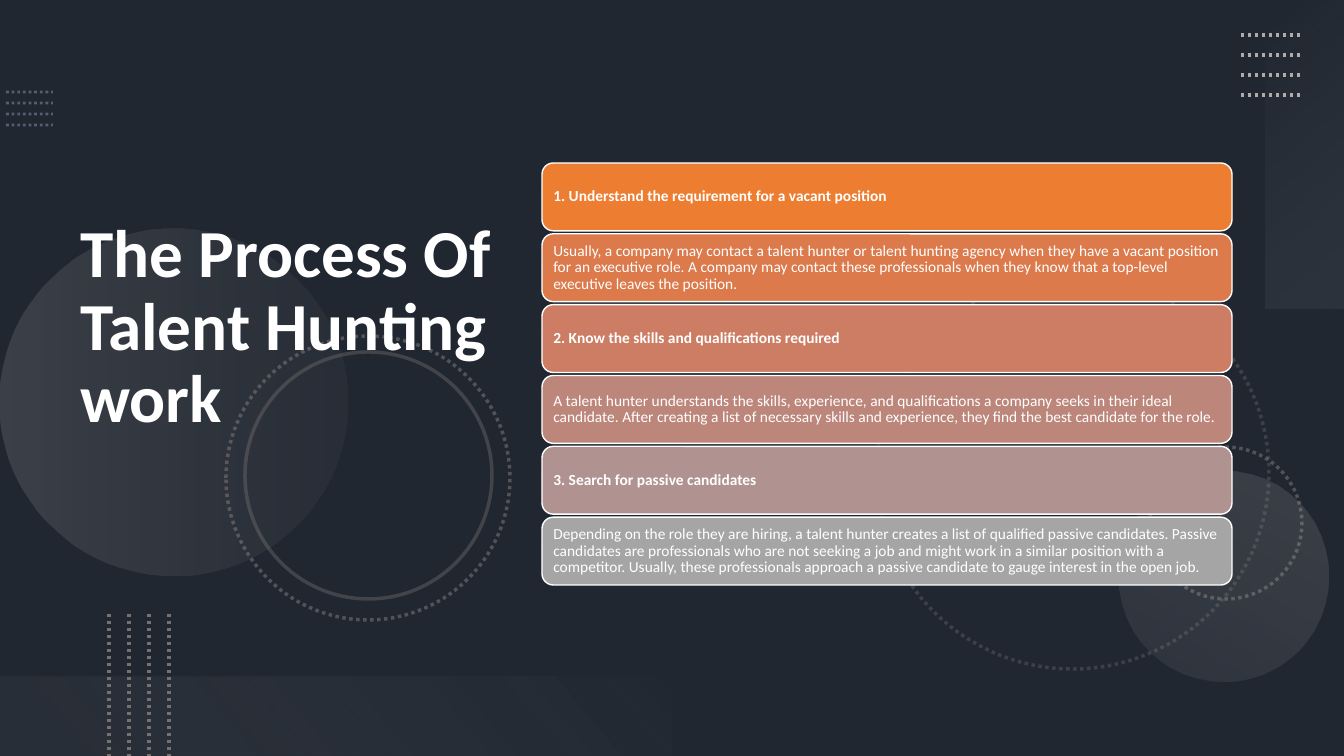
import pptx
import pptx.dml.color
import pptx.enum.dml
import pptx.enum.shapes
import pptx.enum.text
import pptx.oxml
import pptx.oxml.ns
import pptx.util

RGBColor = pptx.dml.color.RGBColor
Shape = pptx.enum.shapes.MSO_SHAPE

WHITE = RGBColor(0xFF, 0xFF, 0xFF)
BLACK = RGBColor(0, 0, 0)
SLATE = RGBColor(0x44, 0x54, 0x6A)
STEEL = RGBColor(0x84, 0x97, 0xB0)
GRAY = RGBColor(0x76, 0x71, 0x71)
SILVER = RGBColor(0xAF, 0xAB, 0xAB)
PALE = RGBColor(0xF5, 0xF5, 0xF5)
MIST = RGBColor(0xF1, 0xF0, 0xF0)

EMU_PER_PX = 914400 / 100.8
SLIDE_WIDTH, SLIDE_HEIGHT = 1344, 756
FONT = "Calibri"

TITLE = "The Process Of Talent Hunting work"
STEPS = [
    ("1. Understand the requirement for a vacant position", RGBColor(0xED, 0x7D, 0x31),
     "Usually, a company may contact a talent hunter or talent hunting agency when they have "
     "a vacant position for an executive role. A company may contact these professionals when "
     "they know that a top-level executive leaves the position.", RGBColor(0xDC, 0x7A, 0x4B)),
    ("2. Know the skills and qualifications required", RGBColor(0xCC, 0x7D, 0x64),
     "A talent hunter understands the skills, experience, and qualifications a company seeks "
     "in their ideal candidate. After creating a list of necessary skills and experience, they "
     "find the best candidate for the role.", RGBColor(0xBD, 0x86, 0x7B)),
    ("3. Search for passive candidates", RGBColor(0xB0, 0x93, 0x91),
     "Depending on the role they are hiring, a talent hunter creates a list of qualified passive "
     "candidates. Passive candidates are professionals who are not seeking a job and might work "
     "in a similar position with a competitor. Usually, these professionals approach a passive "
     "candidate to gauge interest in the open job.", RGBColor(0xA5, 0xA5, 0xA5)),
]
CARD_LEFT, CARD_WIDTH = 542, 690
STACK_TOP, STACK_HEIGHT, CARD_GAP = 163, 422, 3

# left, top, diameter, opacity %, dotted
RINGS = [
    (876, 276, 393, 35, True),
    (1150, 447, 152, 60, True),
    (226, 336, 284, 60, True),
    (245, 352, 247, 40, False),
]
# preset, box, rotation, angle, stops of (position, colour, opacity %)
GLOWS = [
    (Shape.OVAL, (0, 229, 347, 347), 270, 90, [(0, SILVER, 20), (1, GRAY, 10)]),
    (Shape.OVAL, (1119, 471, 210, 210), 210, 90, [(0, SILVER, 10), (1, SILVER, 20)]),
    (Shape.RECTANGLE, (1151, 115, 308, 79), 270, 140, [(0, PALE, 0), (1, SILVER, 10)]),
    (Shape.RECTANGLE, (0, 677, 672, 79), 180, 140, [(0.1, GRAY, 10), (1, MIST, 0)]),
]
# first line's start and end, step to the next line, colour, points, opacity %
DOT_GRIDS = [
    ((6, 92), (53, 92), (0, 11), STEEL, 2, 50),
    ((1241, 35), (1301, 35), (0, 20), SILVER, 2.5, 100),
    ((109, 614), (109, 756), (20, 0), GRAY, 2.5, 100),
]
LINES_PER_GRID = 4


def px(length):
    return pptx.util.Emu(round(length * EMU_PER_PX))


def set_opacity(element, percents):
    """Give each RGB colour inside the element its opacity, in order."""
    for color, percent in zip(element.xpath(".//a:srgbClr"), percents):
        alpha = pptx.oxml.parse_xml(
            f'<a:alpha {pptx.oxml.ns.nsdecls("a")} val="{percent * 1000}"/>')
        color.append(alpha)


def add_shape(slide, preset, box):
    shape = slide.shapes.add_shape(preset, *map(px, box))
    shape.shadow.inherit = False
    shape.line.fill.background()
    return shape


def style_line(line, color, points, dotted):
    line.color.rgb = color
    line.width = pptx.util.Pt(points)
    if dotted:
        line.dash_style = pptx.enum.dml.MSO_LINE.ROUND_DOT


def add_ring(slide, left, top, diameter, opacity, dotted):
    ring = add_shape(slide, Shape.OVAL, (left, top, diameter, diameter))
    ring.fill.background()
    style_line(ring.line, GRAY, 2.5, dotted)
    set_opacity(ring._element.spPr, [opacity])


def add_glow(slide, preset, box, rotation, angle, stops):
    glow = add_shape(slide, preset, box)
    glow.rotation = rotation
    glow.fill.gradient()
    glow.fill.gradient_angle = 360 - angle
    for stop, (position, color, _) in zip(glow.fill.gradient_stops, stops):
        stop.position = position
        stop.color.rgb = color
    set_opacity(glow._element.spPr, [opacity for _, _, opacity in stops])


def add_dot_grid(slide, start, end, step, color, points, opacity):
    for index in range(LINES_PER_GRID):
        dx, dy = step[0] * index, step[1] * index
        line = slide.shapes.add_connector(
            pptx.enum.shapes.MSO_CONNECTOR.STRAIGHT,
            px(start[0] + dx), px(start[1] + dy), px(end[0] + dx), px(end[1] + dy))
        style_line(line.line, color, points, True)
        properties = line._element.spPr
        set_opacity(properties, [opacity])
        properties.append(pptx.oxml.parse_xml(
            f'<a:effectLst {pptx.oxml.ns.nsdecls("a")}/>'))


def write_text(frame, text, points, bold):
    frame.word_wrap = True
    frame.vertical_anchor = pptx.enum.text.MSO_ANCHOR.MIDDLE
    frame.text = text
    para = frame.paragraphs[0]
    para.alignment = pptx.enum.text.PP_ALIGN.LEFT
    para.line_spacing = 0.9
    para.font.name = FONT
    para.font.size = pptx.util.Pt(points)
    para.font.bold = bold
    para.font.color.rgb = WHITE


def add_cards(slide):
    cards = []
    for heading, heading_color, detail, detail_color in STEPS:
        cards += [(heading, heading_color, True), (detail, detail_color, False)]
    pitch = (STACK_HEIGHT + CARD_GAP) / len(cards)
    for index, (text, color, bold) in enumerate(cards):
        box = (CARD_LEFT, STACK_TOP + index * pitch, CARD_WIDTH, pitch - CARD_GAP)
        card = add_shape(slide, Shape.ROUNDED_RECTANGLE, box)
        card.fill.solid()
        card.fill.fore_color.rgb = color
        style_line(card.line, WHITE, 1, False)
        frame = card.text_frame
        frame.margin_left = frame.margin_right = px(8)
        frame.margin_top = frame.margin_bottom = px(5)
        write_text(frame, text, 11, bold)


def add_title(slide):
    title = slide.shapes.title
    title.left, title.top, title.width, title.height = map(px, (70, 54, 463, 622))
    write_text(title.text_frame, TITLE, 48, True)
    title.text_frame.margin_bottom = px(78)
    # bring the title in front of the decoration
    slide.shapes._spTree.append(title._element)


def main():
    deck = pptx.Presentation()
    deck.slide_width, deck.slide_height = px(SLIDE_WIDTH), px(SLIDE_HEIGHT)
    slide = deck.slides.add_slide(deck.slide_layouts[5])
    slide.background.fill.solid()
    slide.background.fill.fore_color.rgb = SLATE

    shade = add_shape(slide, Shape.RECTANGLE, (0, 0, SLIDE_WIDTH, SLIDE_HEIGHT))
    shade.fill.solid()
    shade.fill.fore_color.rgb = BLACK
    set_opacity(shade._element.spPr, [53])

    for ring in RINGS:
        add_ring(slide, *ring)
    for glow in GLOWS:
        add_glow(slide, *glow)
    for grid in DOT_GRIDS:
        add_dot_grid(slide, *grid)
    add_title(slide)
    add_cards(slide)
    deck.save("out.pptx")


if __name__ == "__main__":
    main()
